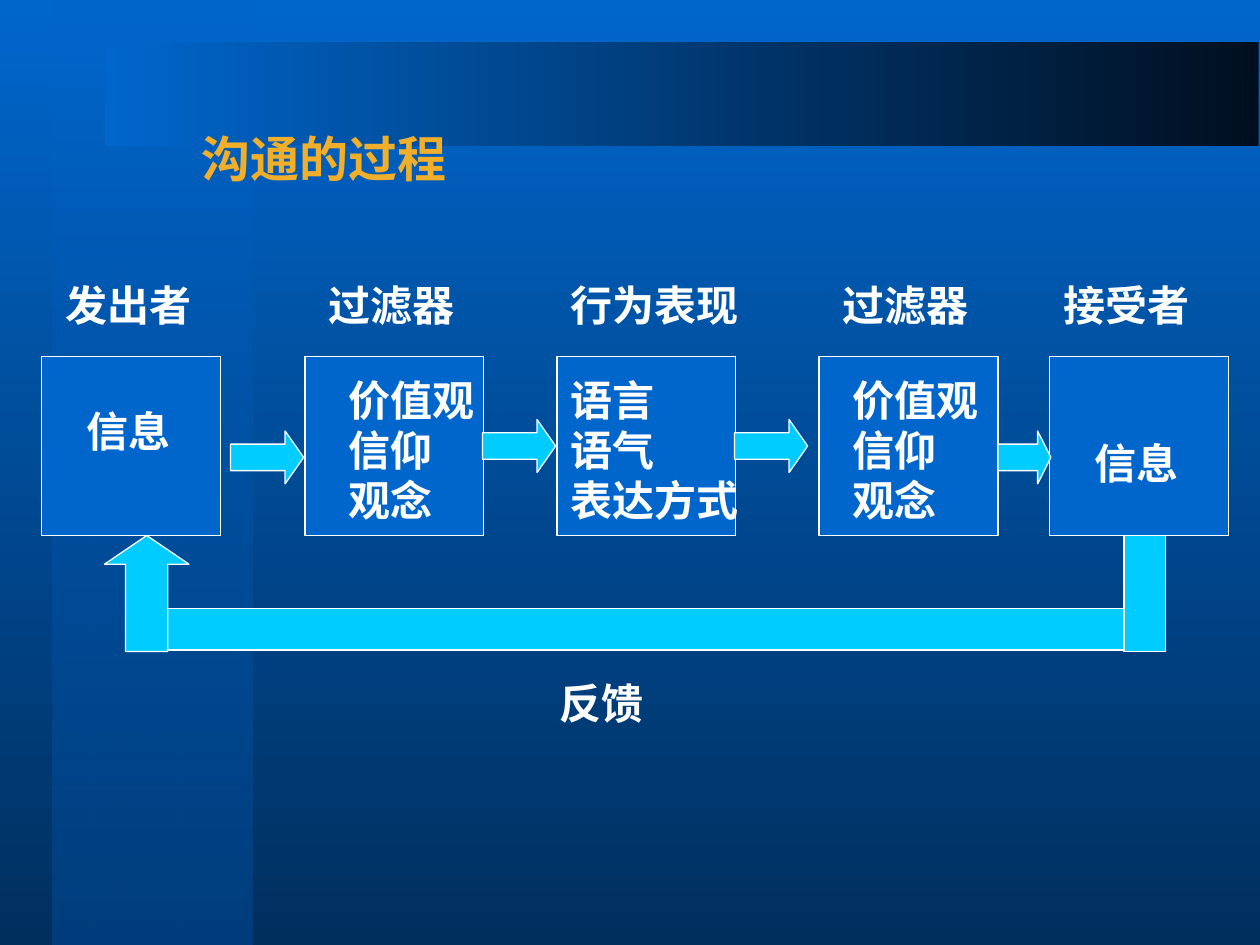
from dataclasses import dataclass

from lxml.etree import SubElement
from pptx import Presentation
from pptx.dml.color import RGBColor
from pptx.enum.shapes import MSO_SHAPE as Preset
from pptx.enum.text import MSO_ANCHOR as Anchor, MSO_AUTO_SIZE as AutoSize, PP_ALIGN as Align
from pptx.oxml.ns import qn
from pptx.util import Inches, Pt

COLORS = {
    "blue": "0066CC",
    "deep_blue": "002F5E",
    "column_end": "003E7D",
    "near_black": "000F1F",
    "cyan": "00CCFF",
    "white": "FFFFFF",
    "gold": "F0AE2A",
}
FONT = "Times New Roman"
BOX_TOP, BOX_SIZE = 2.83, 1.42
HEADING_TOP = 2.17


@dataclass(frozen=True)
class Stage:
    left: float
    heading: str
    heading_left: float
    lines: tuple[str, ...]
    lines_left: float
    lines_top: float


@dataclass(frozen=True)
class Block:
    preset: Preset
    left: float
    top: float
    width: float
    height: float
    head: float | None = None


STAGES = [
    Stage(0.33, "发出者", 0.42, ("信息",), 0.59, 3.17),
    Stage(2.42, "过滤器", 2.51, ("价值观", "信仰", "观念"), 2.67, 2.92),
    Stage(4.42, "行为表现", 4.43, ("语言", "语气", "表达方式"), 4.43, 2.92),
    Stage(6.5, "过滤器", 6.59, ("价值观", "信仰", "观念"), 6.67, 2.92),
    Stage(8.33, "接受者", 8.34, ("信息",), 8.59, 3.42),
]
FLOW = [
    # Forward arrows between the stages
    Block(Preset.RIGHT_ARROW, 1.83, 3.42, 0.58, 0.42, 0.35),
    Block(Preset.RIGHT_ARROW, 3.83, 3.33, 0.58, 0.42, 0.35),
    Block(Preset.RIGHT_ARROW, 5.83, 3.33, 0.58, 0.42, 0.35),
    Block(Preset.RIGHT_ARROW, 7.92, 3.42, 0.42, 0.42, 0.25),
    # Feedback path back to the sender
    Block(Preset.RECTANGLE, 8.92, 4.25, 0.33, 0.92),
    Block(Preset.RECTANGLE, 1.25, 4.83, 7.67, 0.33),
    Block(Preset.UP_ARROW, 0.83, 4.25, 0.67, 0.92, 0.34),
]


def color(name: str) -> RGBColor:
    return RGBColor.from_string(COLORS[name])


def set_gradient(fill, start: str, end: str, angle: int) -> None:
    fill.gradient()
    fill.gradient_angle = angle
    for stop, name in zip(fill.gradient_stops, (start, end)):
        stop.color.rgb = color(name)


def add_block(slide, block: Block):
    shape = slide.shapes.add_shape(
        block.preset, Inches(block.left), Inches(block.top),
        Inches(block.width), Inches(block.height))
    shape.shadow.inherit = False
    if block.head is not None:
        shape.adjustments[1] = block.head
    return shape


def add_outlined(slide, block: Block, fill_name: str) -> None:
    shape = add_block(slide, block)
    shape.fill.solid()
    shape.fill.fore_color.rgb = color(fill_name)
    shape.line.color.rgb = color("white")
    shape.line.width = Pt(0.75)


def add_run(paragraph, text: str, size: int, color_name: str) -> None:
    run = paragraph.add_run()
    run.text = text
    run.font.name = FONT
    run.font.size = Pt(size)
    run.font.bold = True
    run.font.color.rgb = color(color_name)


def add_label(slide, left: float, top: float, lines: tuple[str, ...]) -> None:
    width = 0.2 + max(map(len, lines)) / 3
    height = 0.1 + 0.4 * len(lines)
    frame = slide.shapes.add_textbox(
        Inches(left), Inches(top), Inches(width), Inches(height)).text_frame
    frame.word_wrap = False
    frame.auto_size = AutoSize.SHAPE_TO_FIT_TEXT
    for index, line in enumerate(lines):
        paragraph = frame.add_paragraph() if index else frame.paragraphs[0]
        add_run(paragraph, line, 24, "white")


def add_backdrop(slide) -> None:
    set_gradient(slide.background.fill, "blue", "deep_blue", 270)

    column = add_block(slide, Block(Preset.RECTANGLE, 0.42, 0, 1.58, 7.5))
    set_gradient(column.fill, "blue", "column_end", 270)
    first_stop = next(column.element.iter(qn("a:srgbClr")))
    SubElement(first_stop, qn("a:alpha"), val="50000")

    band = add_block(slide, Block(Preset.RECTANGLE, 0.83, 0.33, 9.16, 0.83))
    set_gradient(band.fill, "near_black", "blue", 180)

    for shape in (column, band):
        shape.line.fill.background()


def format_title(slide) -> None:
    title = slide.shapes.title
    title.left, title.top = Inches(1.5), Inches(1)
    title.width, title.height = Inches(3.5), Inches(0.5)
    frame = title.text_frame
    frame.auto_size = AutoSize.NONE
    frame.vertical_anchor = Anchor.MIDDLE
    paragraph = frame.paragraphs[0]
    paragraph.alignment = Align.LEFT
    add_run(paragraph, "沟通的过程", 28, "gold")
    # Bring the title in front of the band
    slide.shapes.element.append(title.element)


def main() -> None:
    presentation = Presentation()
    presentation.slide_width = Inches(10)
    presentation.slide_height = Inches(7.5)
    slide = presentation.slides.add_slide(presentation.slide_layouts[5])

    add_backdrop(slide)
    format_title(slide)

    # Stages with their headings and contents
    for stage in STAGES:
        box = Block(Preset.RECTANGLE, stage.left, BOX_TOP, BOX_SIZE, BOX_SIZE)
        add_outlined(slide, box, "blue")
        add_label(slide, stage.heading_left, HEADING_TOP, (stage.heading,))
        add_label(slide, stage.lines_left, stage.lines_top, stage.lines)

    # Arrows and feedback path
    for block in FLOW:
        add_outlined(slide, block, "cyan")
    add_label(slide, 4.34, 5.33, ("反馈",))

    presentation.save("out.pptx")


if __name__ == "__main__":
    main()
